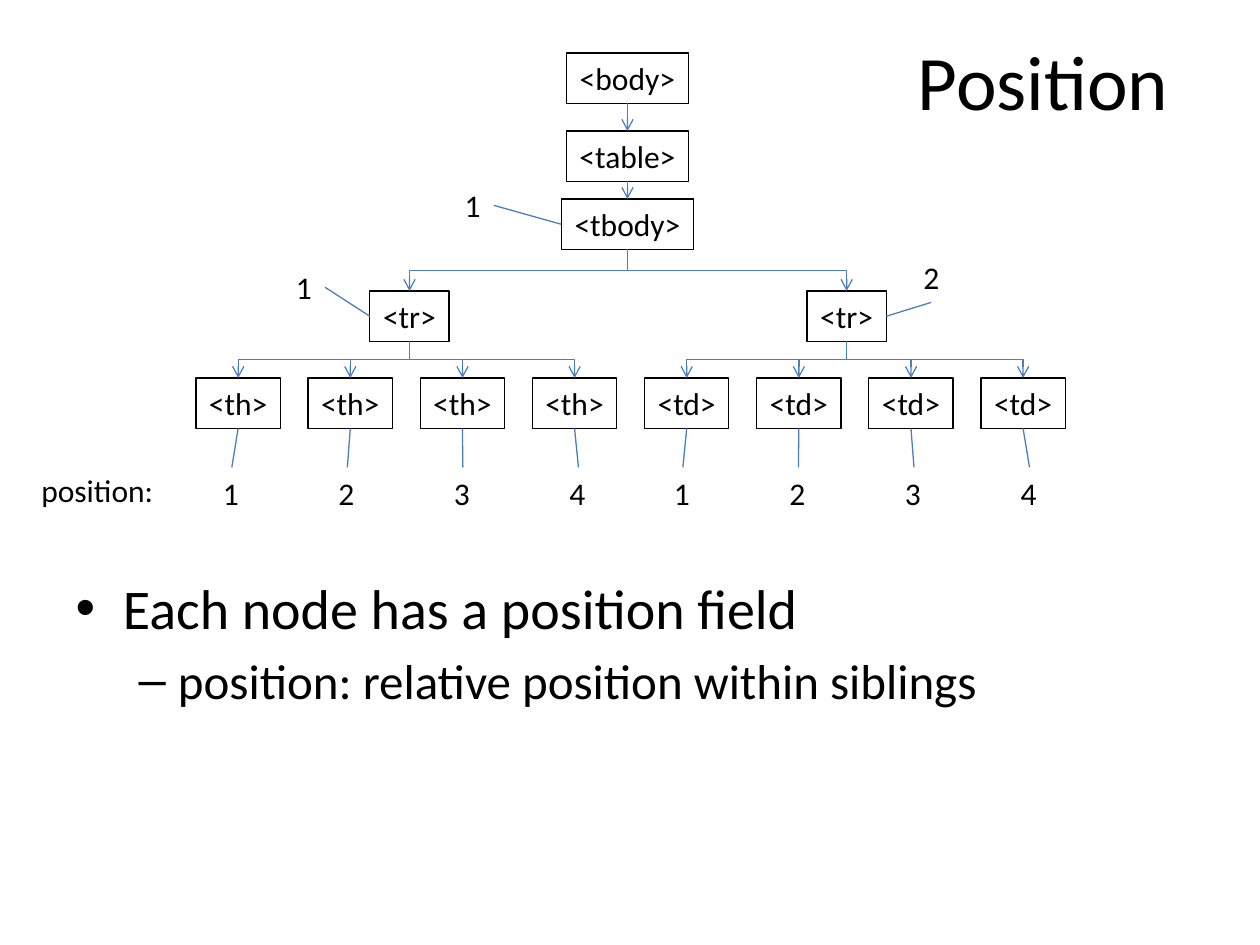
from lxml.etree import SubElement
from pptx import Presentation
from pptx.dml.color import RGBColor
from pptx.enum.shapes import MSO_CONNECTOR, MSO_SHAPE
from pptx.enum.text import MSO_ANCHOR, PP_ALIGN
from pptx.oxml.ns import qn
from pptx.util import Inches, Pt

TOP, LEFT, BOTTOM, RIGHT = range(4)


def color(code):
    return RGBColor.from_string(code)


def write(para, text, size=18, font="Calibri", ink="000000", align=None, level=0):
    """Add one formatted run to a paragraph."""
    para.level = level
    para.alignment = align
    run = para.add_run()
    run.text = text
    run.font.size = Pt(size)
    run.font.name = font
    run.font.color.rgb = color(ink)


class Tree:
    """Style and drawing methods for the current slide."""
    edge = "000000"
    wire = "4B7EBC"
    width = Pt(0.75)
    high = 0.4

    def __init__(self, slide):
        self.slide = slide
        self.shapes = slide.shapes

    def place(self, shape, left, top, wide, high):
        shape.left, shape.top = Inches(left), Inches(top)
        shape.width, shape.height = Inches(wide), Inches(high)

    def title(self, text, *area):
        shape = self.shapes.title
        self.place(shape, *area)
        shape.text_frame.word_wrap = False
        write(shape.text_frame.paragraphs[0], text, size=44)

    def body(self, items, *area):
        shape = self.slide.placeholders[1]
        self.place(shape, *area)
        frame = shape.text_frame
        for i, (text, level, size) in enumerate(items):
            para = frame.add_paragraph() if i else frame.paragraphs[0]
            write(para, text, size=size, level=level)

    def node(self, text, mid, top, wide):
        """Draw a tag box centred on mid."""
        box = self.shapes.add_shape(
            MSO_SHAPE.RECTANGLE, Inches(mid - wide / 2), Inches(top),
            Inches(wide), Inches(self.high))
        box.shadow.inherit = False
        box.fill.background()
        box.line.color.rgb = color(self.edge)
        box.line.width = self.width
        box.text_frame.word_wrap = False
        box.text_frame.vertical_anchor = MSO_ANCHOR.MIDDLE
        write(box.text_frame.paragraphs[0], text, align=PP_ALIGN.CENTER)
        return box

    def label(self, text, left, top, wide=0.33):
        box = self.shapes.add_textbox(
            Inches(left), Inches(top), Inches(wide), Inches(self.high))
        box.text_frame.word_wrap = False
        write(box.text_frame.paragraphs[0], text)

    def style(self, link, arrow):
        link.line.color.rgb = color(self.wire)
        link.line.width = self.width
        props = link.element.spPr
        if arrow:
            SubElement(props.find(qn("a:ln")), qn("a:tailEnd"), type="arrow")
        SubElement(props, qn("a:effectLst"))

    def note(self, box, side, x, y):
        """Join a box side to a point near its number."""
        link = self.shapes.add_connector(
            MSO_CONNECTOR.STRAIGHT, 0, 0, Inches(x), Inches(y))
        link.begin_connect(box, side)
        self.style(link, False)

    def down(self, upper, lower):
        link = self.shapes.add_connector(MSO_CONNECTOR.STRAIGHT, 0, 0, 0, 0)
        link.begin_connect(upper, BOTTOM)
        link.end_connect(lower, TOP)
        self.style(link, True)

    def branch(self, upper, lower):
        """Elbow from the bottom of one box to the top of another."""
        x1, y1 = upper.left + upper.width // 2, upper.top + upper.height
        x2, y2 = lower.left + lower.width // 2, lower.top
        midx, midy = (x1 + x2) // 2, (y1 + y2) // 2
        # The elbow is laid flat, then turned a quarter
        dx, dy = abs(x2 - x1) // 2, (y2 - y1) // 2
        right = x2 > x1
        if right:
            dy = -dy
        link = self.shapes.add_connector(
            MSO_CONNECTOR.ELBOW, midx - dy, midy - dx, midx + dy, midy + dx)
        turn = 270 if right else 90
        link.element.spPr.find(qn("a:xfrm")).set("rot", str(turn * 60000))
        self.style(link, True)


def main():
    deck = Presentation()
    deck.slide_width, deck.slide_height = Inches(10), Inches(7.5)
    tree = Tree(deck.slides.add_slide(deck.slide_layouts[1]))

    # Title and list
    tree.title("Position", 7.17, 0.21, 2.22, 0.84)
    tree.body([("Each node has a position field", 0, 32),
               ("position: relative position within siblings", 1, 28)],
              0.5, 4.5, 9, 2.2)

    # Trunk
    root = tree.node("<body>", 4.98, 0.42, 0.97)
    table = tree.node("<table>", 4.98, 1.04, 0.97)
    tbody = tree.node("<tbody>", 4.98, 1.58, 1.05)
    tree.down(root, table)
    tree.down(table, tbody)
    tree.label("1", 3.59, 1.43)
    tree.note(tbody, LEFT, 3.92, 1.63)

    # Rows: centre, cell tag, first cell centre, first number,
    # then the row's own number with its place, side and line end
    rows = [
        (3.25, "<th>", 1.89, 1.67, "1", (2.25, 2.08), LEFT, (2.58, 2.28)),
        (6.72, "<td>", 5.45, 5.25, "2", (7.23, 2), RIGHT, (7.39, 2.4)),
    ]
    for mid, tag, first, start, num, spot, side, end in rows:
        row = tree.node("<tr>", mid, 2.31, 0.63)
        tree.branch(tbody, row)
        tree.label(num, *spot)
        tree.note(row, side, *end)

        # Cells with their positions
        for i in range(4):
            cell = tree.node(tag, first + 0.89 * i, 3, 0.67)
            tree.branch(row, cell)
            left = start + 0.917 * i
            tree.label(str(i + 1), left, 3.71)
            tree.note(cell, BOTTOM, left + 0.17, 3.71)

    tree.label("position:", 0.23, 3.69, 1.1)
    deck.save("out.pptx")


if __name__ == "__main__":
    main()
